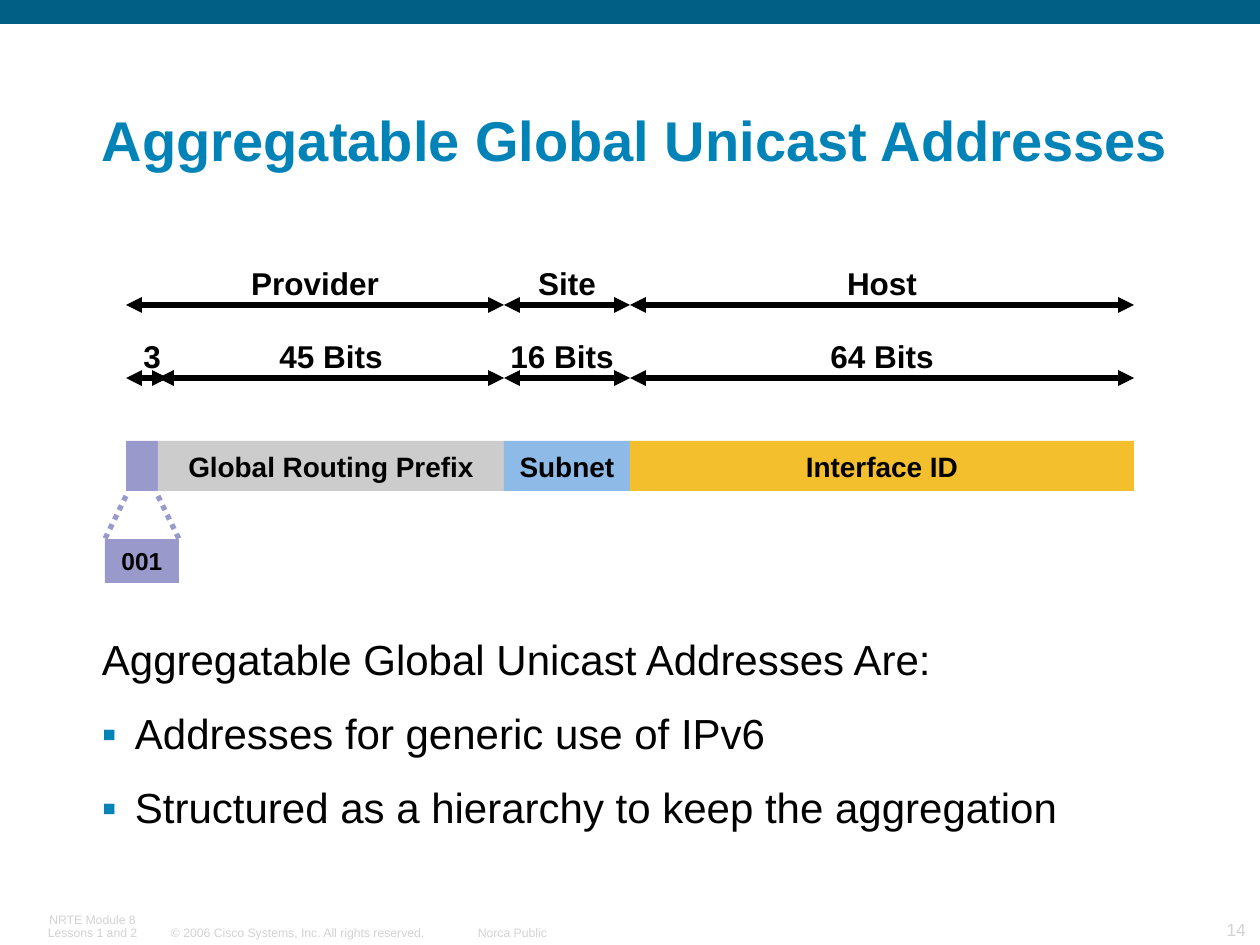
from dataclasses import dataclass

from lxml.etree import SubElement
from pptx import Presentation
from pptx.dml.color import RGBColor
from pptx.enum.dml import MSO_LINE
from pptx.enum.shapes import MSO_CONNECTOR, MSO_SHAPE
from pptx.enum.text import MSO_ANCHOR, MSO_AUTO_SIZE, PP_ALIGN
from pptx.oxml.ns import qn
from pptx.util import Emu, Inches, Pt


@dataclass(frozen=True)
class Theme:
    font: str = "Arial"
    black: str = "000000"
    title: str = "0183B7"
    bar: str = "015F85"
    footer: str = "D3D3D3"
    format_prefix: str = "9999CC"
    routing_prefix: str = "CCCCCC"
    subnet: str = "8DBAE7"
    interface: str = "F3BF2D"
    title_size: int = 32
    body_size: int = 24
    label_size: int = 18
    field_size: int = 16
    callout_size: int = 14
    number_size: int = 10
    footer_size: int = 7
    line_width: int = 3


THEME = Theme()


def px(value):
    return Emu(round(value * Inches(1) / 126))


class SlideBuilder:
    def __init__(self, slide, theme):
        self.slide = slide
        self.theme = theme

    def style(self, paragraph, size, color, bold=False, align=PP_ALIGN.LEFT, spacing=None):
        paragraph.alignment = align
        if spacing:
            paragraph.line_spacing = spacing
        font = paragraph.font
        font.name, font.size, font.bold = self.theme.font, Pt(size), bold
        font.color.rgb = RGBColor.from_string(color)

    def frame(self, shape, anchor, wrap=False):
        frame = shape.text_frame
        frame.margin_left = frame.margin_right = px(11)
        frame.margin_top = frame.margin_bottom = px(5)
        frame.vertical_anchor, frame.word_wrap = anchor, wrap
        frame.auto_size = MSO_AUTO_SIZE.NONE
        return frame

    def title(self, text, left, top, width, height):
        shape = self.slide.shapes.title
        shape.left, shape.top, shape.width, shape.height = map(px, (left, top, width, height))
        frame = self.frame(shape, MSO_ANCHOR.BOTTOM, wrap=True)
        frame.text = text
        self.style(frame.paragraphs[0], self.theme.title_size, self.theme.title, True, spacing=0.9)

    def text(self, text, left, top, width, height, size, color,
             anchor=MSO_ANCHOR.TOP, **paragraph_style):
        box = self.slide.shapes.add_textbox(*map(px, (left, top, width, height)))
        frame = self.frame(box, anchor)
        frame.text = text
        for paragraph in frame.paragraphs:
            self.style(paragraph, size, color, **paragraph_style)

    def body(self, heading, bullets, left, top, width, height):
        box = self.slide.shapes.add_textbox(*map(px, (left, top, width, height)))
        frame = self.frame(box, MSO_ANCHOR.TOP, wrap=True)
        frame.text = "\n".join([heading, *bullets])
        for index, paragraph in enumerate(frame.paragraphs):
            if index:
                self.bullet(paragraph)
                paragraph.space_before = Pt(15)
            self.style(paragraph, self.theme.body_size, self.theme.black, spacing=0.95)

    def bullet(self, paragraph):
        properties = paragraph._p.get_or_add_pPr()
        properties.set("marL", str(px(33)))
        properties.set("indent", str(px(-33)))
        color = SubElement(properties, qn("a:buClr"))
        SubElement(color, qn("a:srgbClr"), val=self.theme.title)
        SubElement(properties, qn("a:buFont"), typeface=self.theme.font)
        SubElement(properties, qn("a:buChar"), char="▪")

    def rectangle(self, left, top, width, height, fill, text="", size=None):
        shape = self.slide.shapes.add_shape(
            MSO_SHAPE.RECTANGLE, *map(px, (left, top, width, height)))
        shape.shadow.inherit = False
        shape.fill.solid()
        shape.fill.fore_color.rgb = RGBColor.from_string(fill)
        shape.line.fill.background()
        if text:
            frame = self.frame(shape, MSO_ANCHOR.MIDDLE)
            frame.text = text
            self.style(frame.paragraphs[0], size, self.theme.black, True, PP_ALIGN.CENTER)

    def line(self, start, end, color, dash=None, arrows=False):
        connector = self.slide.shapes.add_connector(
            MSO_CONNECTOR.STRAIGHT, *map(px, (*start, *end)))
        connector.line.color.rgb = RGBColor.from_string(color)
        connector.line.width = Pt(self.theme.line_width)
        if dash:
            connector.line.dash_style = dash
        properties = connector.element.spPr
        if arrows:
            for end_name in ("a:headEnd", "a:tailEnd"):
                SubElement(properties.find(qn("a:ln")), qn(end_name), type="triangle")
        SubElement(properties, qn("a:effectLst"))

    def span(self, text, start, end, y, center):
        """Draw a double-headed arrow with its label above it."""
        self.line((start, y), (end, y), self.theme.black, arrows=True)
        self.text(text, center - 90, y - 46, 180, 50, self.theme.label_size,
                  self.theme.black, bold=True, align=PP_ALIGN.CENTER)


def main():
    presentation = Presentation()
    presentation.slide_width, presentation.slide_height = px(1260), px(945)
    slide = presentation.slides.add_slide(presentation.slide_layouts[5])
    builder = SlideBuilder(slide, THEME)

    builder.rectangle(0, 0, 1260, 24, THEME.bar)
    footers = [
        ("© 2006 Cisco Systems, Inc. All rights reserved.", 160, 277, THEME.footer_size, PP_ALIGN.LEFT),
        ("Norca Public", 469, 89, THEME.footer_size, PP_ALIGN.RIGHT),
        ("NRTE Module 8\nLessons 1 and 2", 26, 133, THEME.footer_size, PP_ALIGN.CENTER),
        ("14", 1155, 102, THEME.number_size, PP_ALIGN.RIGHT),
    ]
    for text, left, width, size, align in footers:
        builder.text(text, left, 907, width, 38, size, THEME.footer, MSO_ANCHOR.BOTTOM,
                     align=align, spacing=0.9 if "\n" in text else None)

    builder.title("Aggregatable Global Unicast Addresses", 91, 63, 1123, 116)
    builder.body(
        "Aggregatable Global Unicast Addresses Are:",
        ["Addresses for generic use of IPv6",
         "Structured as a hierarchy to keep the aggregation"],
        91, 632, 1094, 236)

    provider, routing, site, host, end = 126, 158, 504, 630, 1134
    owners_y, bits_y = 305, 378
    spans = [
        ("Provider", provider, site, owners_y, 315),
        ("Site", site, host, owners_y, 567),
        ("Host", host, end, owners_y, 882),
        ("3", provider, 168, bits_y, 152),
        ("45 Bits", routing, site, bits_y, 331),
        ("16 Bits", site, host, bits_y, 562),
        ("64 Bits", host, end, bits_y, 882),
    ]
    for span in spans:
        builder.span(*span)

    fields = [
        ("", provider, routing, THEME.format_prefix),
        ("Global Routing Prefix", routing, site, THEME.routing_prefix),
        ("Subnet", site, host, THEME.subnet),
        ("Interface ID", host, end, THEME.interface),
    ]
    for text, left, right, fill in fields:
        builder.rectangle(left, 441, right - left, 50, fill, text, THEME.field_size)

    for field_x, callout_x in ((provider, 105), (routing, 179)):
        builder.line((field_x, 496), (callout_x, 539), THEME.format_prefix, MSO_LINE.ROUND_DOT)
    builder.rectangle(105, 539, 74, 44, THEME.format_prefix, "001", THEME.callout_size)

    presentation.save("out.pptx")


if __name__ == "__main__":
    main()
